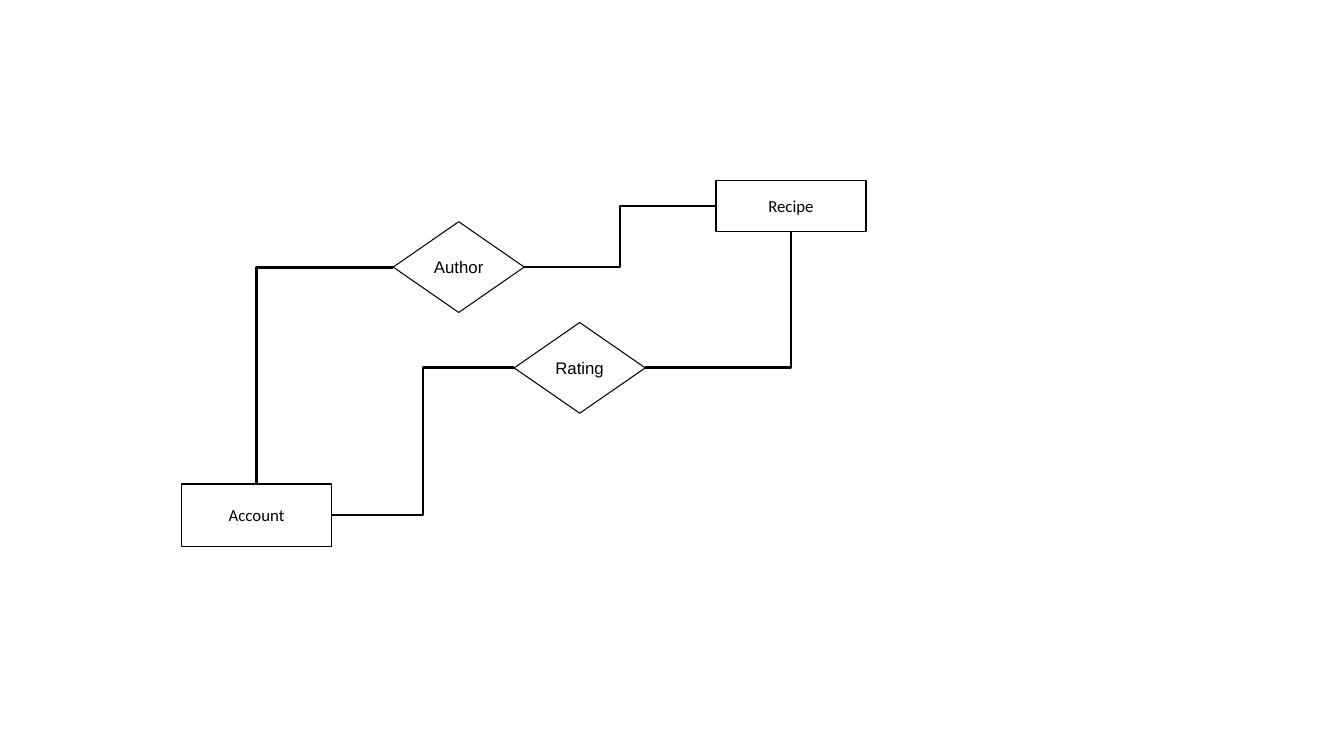
from pptx import Presentation
from pptx import util as u
from pptx.dml.color import RGBColor
from pptx.enum import shapes, text
from pptx.oxml.ns import qn
from lxml import etree

BLACK = RGBColor(0x00, 0x00, 0x00)
WHITE = RGBColor(0xFF, 0xFF, 0xFF)
RECTANGLE = shapes.MSO_SHAPE.RECTANGLE
DIAMOND = shapes.MSO_SHAPE.DIAMOND
TOP, LEFT, BOTTOM, RIGHT = range(4)

deck = Presentation()
deck.slide_width = u.Inches(13.33)
deck.slide_height = u.Inches(7.5)
page = deck.slides.add_slide(deck.slide_layouts[6])

nodes = [
    ("Recipe", RECTANGLE, (7.1, 1.79, 1.49, 0.51), "Calibri", 1, True),
    ("Account", RECTANGLE, (1.8, 4.8, 1.49, 0.62), "Calibri", 1, True),
    ("Author", DIAMOND, (3.9, 2.2, 1.3, 0.9), "Arial", 0, False),
    ("Rating", DIAMOND, (5.1, 3.2, 1.3, 0.9), "Arial", 0, False),
]
boxes = {}
for name, outline, place, font, weight, wrap in nodes:
    box = page.shapes.add_shape(outline, *[u.Inches(length) for length in place])
    box.shadow.inherit = False
    box.fill.solid()
    box.fill.fore_color.rgb = WHITE
    box.line.color.rgb = BLACK
    box.line.width = u.Pt(weight)
    frame = box.text_frame
    frame.word_wrap = wrap
    frame.vertical_anchor = text.MSO_ANCHOR.MIDDLE
    para = frame.paragraphs[0]
    para.text = name
    para.alignment = text.PP_ALIGN.CENTER
    para.font.name = font
    para.font.size = u.Pt(12)
    para.font.color.rgb = BLACK
    boxes[name] = box

links = [
    ("Author", LEFT, "Account", TOP, "bentConnector2"),
    ("Account", RIGHT, "Rating", LEFT, "bentConnector3"),
    ("Rating", RIGHT, "Recipe", BOTTOM, "bentConnector2"),
    ("Author", RIGHT, "Recipe", LEFT, "bentConnector3"),
]
for start, start_side, end, end_side, bend in links:
    link = page.shapes.add_connector(shapes.MSO_CONNECTOR.ELBOW, 0, 0, 0, 0)
    link.begin_connect(boxes[start], start_side)
    link.end_connect(boxes[end], end_side)
    link.line.color.rgb = BLACK
    link.line.width = u.Pt(0)
    properties = link.element.spPr
    properties.find(qn("a:prstGeom")).set("prst", bend)
    etree.SubElement(properties, qn("a:effectLst"))

deck.save("out.pptx")
